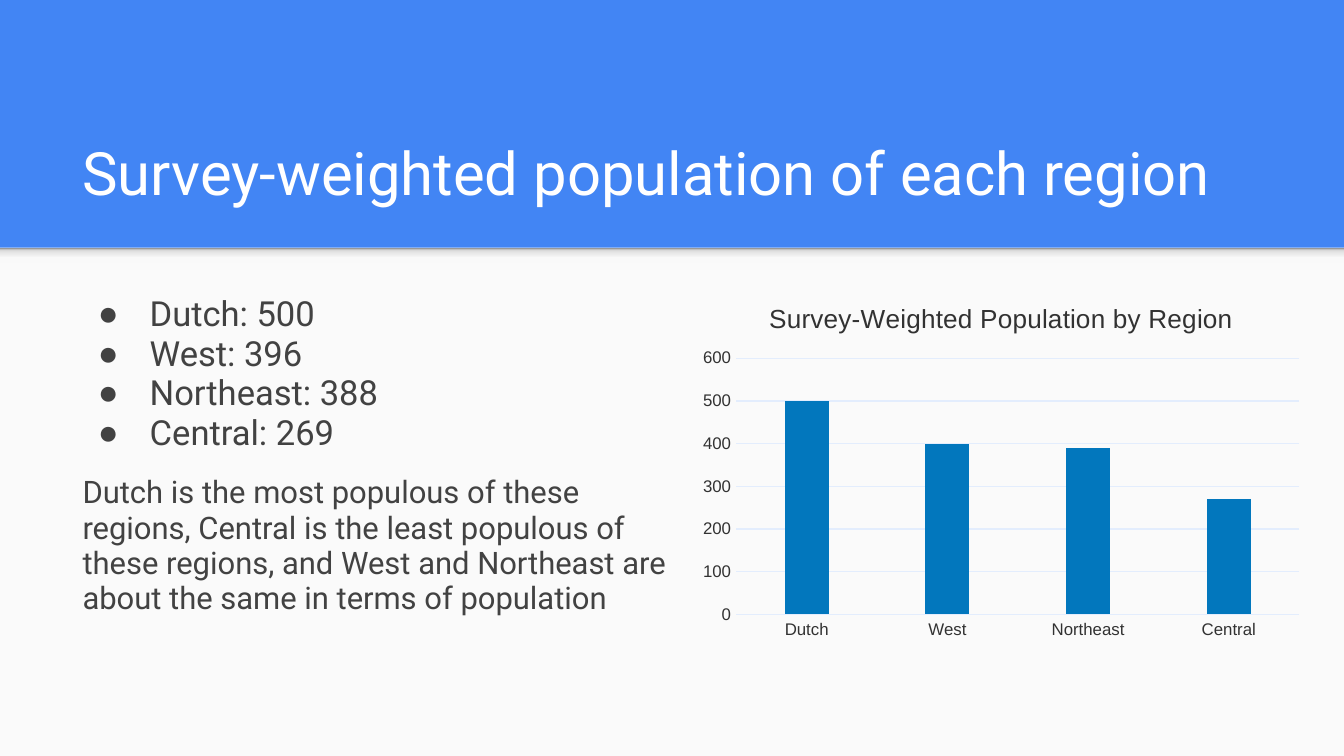
from dataclasses import dataclass

from lxml.etree import SubElement
from pptx import Presentation
from pptx.chart.data import CategoryChartData
from pptx.dml.color import RGBColor
from pptx.enum.chart import XL_CHART_TYPE, XL_TICK_MARK
from pptx.enum.shapes import MSO_SHAPE
from pptx.enum.text import MSO_ANCHOR
from pptx.oxml import parse_xml
from pptx.oxml.ns import nsdecls, qn
from pptx.util import Emu, Pt

PX = 9525
BLUE, PAPER, INK = "4285F4", "FAFAFA", "424242"
CHART_INK, GRID, BAR = "323232", "E3EDFD", "0277BD"


@dataclass(frozen=True)
class Box:
    left: int
    top: int
    width: int
    height: int

    def emu(self) -> list[Emu]:
        return [Emu(v * PX) for v in (self.left, self.top, self.width, self.height)]


@dataclass(frozen=True)
class Line:
    text: str
    size: float
    color: str = INK
    bullet: bool = False
    spacing: float = 1.0
    gap: int = 0


@dataclass(frozen=True)
class Region:
    name: str
    population: int


REGIONS = [Region("Dutch", 500), Region("West", 396),
           Region("Northeast", 388), Region("Central", 269)]
SUMMARY = ("Dutch is the most populous of these regions, Central is the least "
           "populous of these regions, and West and Northeast are about the same "
           "in terms of population")


def rgb(value: str) -> RGBColor:
    return RGBColor.from_string(value)


def add_panel(slide, box: Box, color: str):
    panel = slide.shapes.add_shape(MSO_SHAPE.RECTANGLE, *box.emu())
    panel.shadow.inherit = False
    panel.fill.solid()
    panel.fill.fore_color.rgb = rgb(color)
    panel.line.fill.background()
    return panel


def add_gradient(panel, stops: list[tuple[int, str]], angle: int) -> None:
    marks = "".join(f'<a:gs pos="{pos * 1000}"><a:srgbClr val="{color}"/></a:gs>'
                    for pos, color in stops)
    gradient = parse_xml(f'<a:gradFill {nsdecls("a")}><a:gsLst>{marks}</a:gsLst>'
                         f'<a:lin ang="{angle * 60000}" scaled="0"/></a:gradFill>')
    solid = panel._element.spPr.find(qn("a:solidFill"))
    solid.getparent().replace(solid, gradient)


def add_bullet(paragraph, color: str) -> None:
    props = paragraph._p.get_or_add_pPr()
    props.set("marL", str(48 * PX))
    props.set("indent", str(-37 * PX))
    tint = SubElement(props, qn("a:buClr"))
    SubElement(tint, qn("a:srgbClr")).set("val", color)
    SubElement(props, qn("a:buFont")).set("typeface", "Arial")
    SubElement(props, qn("a:buChar")).set("char", "●")


def add_text(slide, box: Box, lines: list[Line], anchor=MSO_ANCHOR.TOP) -> None:
    frame = slide.shapes.add_textbox(*box.emu()).text_frame
    frame.word_wrap = True
    frame.vertical_anchor = anchor
    frame.margin_left = frame.margin_right = Emu(10 * PX)
    frame.margin_top = frame.margin_bottom = Emu(10 * PX)
    frame.text = "\n".join(line.text for line in lines)
    for paragraph, line in zip(frame.paragraphs, lines):
        paragraph.line_spacing = line.spacing
        paragraph.space_before = paragraph.space_after = Pt(line.gap)
        if line.bullet:
            add_bullet(paragraph, line.color)
        style_font(paragraph.runs[0].font, "Roboto", line.size, line.color)


def style_font(font, name: str, size: float, color: str) -> None:
    font.name = name
    font.size = Pt(size)
    font.bold = False
    font.color.rgb = rgb(color)


def place(parent, **fractions: float) -> None:
    for old in parent.findall(qn("c:layout")):
        parent.remove(old)
    target = '<c:layoutTarget val="inner"/>' if "w" in fractions else ""
    modes = '<c:xMode val="edge"/><c:yMode val="edge"/>'
    sizes = "".join(f'<c:{key} val="{value}"/>' for key, value in fractions.items())
    layout = parse_xml(f'<c:layout {nsdecls("c")}><c:manualLayout>{target}{modes}{sizes}'
                       "</c:manualLayout></c:layout>")
    text = parent.find(qn("c:tx"))
    parent.insert(0 if text is None else 1, layout)


def add_population_chart(slide, box: Box, regions: list[Region]) -> None:
    data = CategoryChartData()
    data.categories = [region.name for region in regions]
    data.add_series("Series 1", [round(region.population, -1) for region in regions])
    chart = slide.shapes.add_chart(XL_CHART_TYPE.COLUMN_CLUSTERED, *box.emu(), data).chart
    style_font(chart.font, "Arial", 10, CHART_INK)
    chart.has_legend = False

    heading = chart.chart_title
    heading.text_frame.text = "Survey-Weighted Population by Region"
    style_font(heading.text_frame.paragraphs[0].runs[0].font, "Arial", 14, CHART_INK)
    heading.include_in_layout = False
    place(heading._element, x=53 / box.width, y=10 / box.height)
    place(chart._chartSpace.chart.plotArea, x=33 / box.width, y=54 / box.height,
          w=402 / box.width, h=183 / box.height)

    for axis in (chart.category_axis, chart.value_axis):
        axis.major_tick_mark = axis.minor_tick_mark = XL_TICK_MARK.NONE
        style_font(axis.tick_labels.font, "Arial", 9, CHART_INK)
    scale = chart.value_axis
    scale.minimum_scale, scale.maximum_scale, scale.major_unit = 0, 600, 100
    scale.format.line.fill.background()
    for line in (chart.category_axis.format.line, scale.major_gridlines.format.line):
        line.color.rgb = rgb(GRID)
        line.width = Pt(0.75)

    plot = chart.plots[0]
    plot.vary_by_categories = False
    plot.gap_width, plot.overlap = 219, -27
    bars = plot.series[0].format.fill
    bars.solid()
    bars.fore_color.rgb = rgb(BAR)


def main() -> None:
    deck = Presentation()
    deck.slide_width, deck.slide_height = Emu(960 * PX), Emu(540 * PX)
    slide = deck.slides.add_slide(deck.slide_layouts[6])
    slide.background.fill.solid()
    slide.background.fill.fore_color.rgb = rgb(BLUE)

    add_panel(slide, Box(0, 177, 960, 363), PAPER)
    header_shade = add_panel(slide, Box(0, 177, 960, 11), PAPER)
    add_gradient(header_shade, [(0, "F9F9F9"), (36, "F9F9F9"),
                                (80, "DEDEDE"), (100, "999999")], 270)

    add_text(slide, Box(49, 78, 863, 80),
             [Line("Survey-weighted population of each region", 32, "FFFFFF")],
             MSO_ANCHOR.BOTTOM)
    findings = [Line(f"{region.name}: {region.population}", 18.5, bullet=True, spacing=0.95)
                for region in REGIONS]
    findings.append(Line(SUMMARY, 16.6, spacing=0.95, gap=12))
    add_text(slide, Box(49, 201, 444, 284), findings)
    add_population_chart(slide, Box(493, 202, 444, 261), REGIONS)
    deck.save("out.pptx")


if __name__ == "__main__":
    main()
